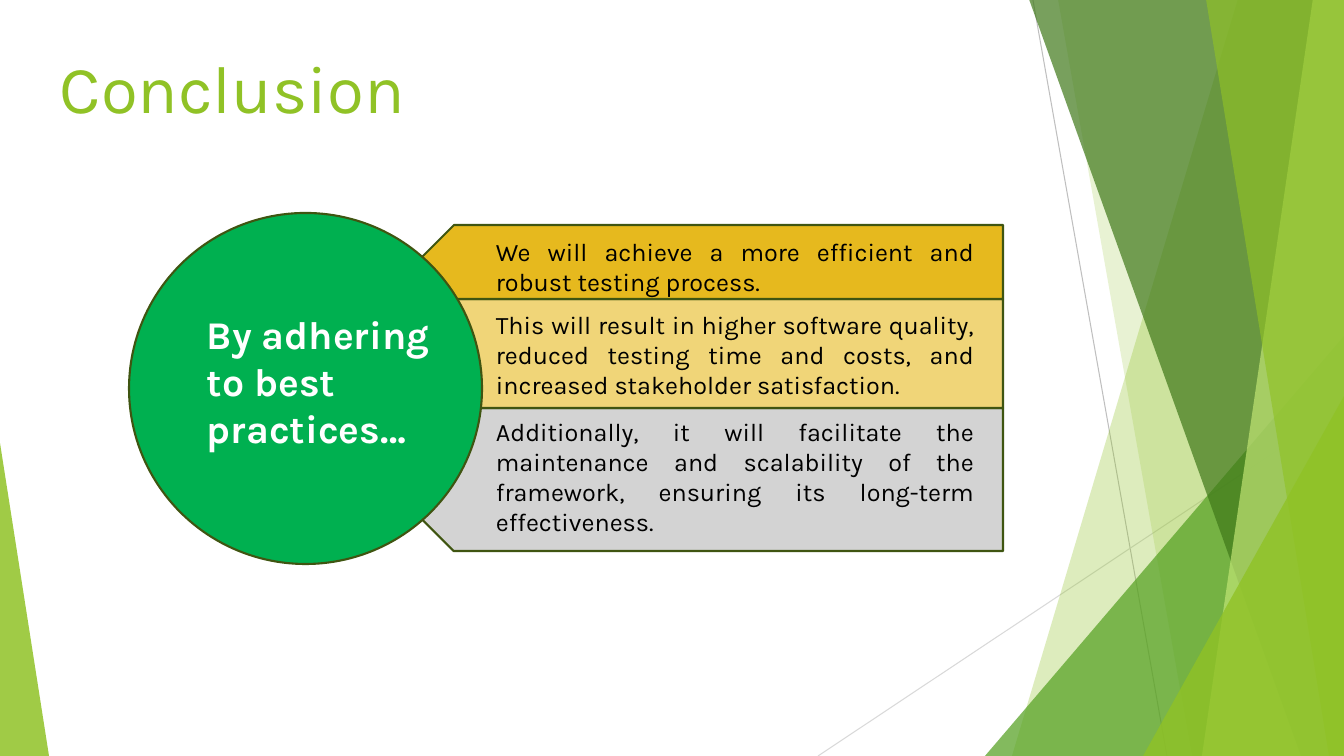
"""Build the conclusion slide: a circle, three outcome bands and a faceted backdrop."""
import pptx
import pptx.util
import pptx.dml.color
import pptx.enum.shapes
import pptx.enum.text
import pptx.oxml
import pptx.oxml.ns
from dataclasses import dataclass

SHAPE = pptx.enum.shapes.MSO_SHAPE
ALIGN = pptx.enum.text.PP_ALIGN
ANCHOR = pptx.enum.text.MSO_ANCHOR


@dataclass(frozen=True)
class Theme:
    """Colours, font and type sizes."""
    font: str = "Karla"
    lime: str = "90C226"
    pale_lime: str = "C0E474"
    leaf: str = "54A021"
    forest: str = "3F7819"
    emerald: str = "00B050"
    gold: str = "E6B91E"
    sand: str = "F0D578"
    silver: str = "D3D3D3"
    outline: str = "3F5511"
    black: str = "000000"
    white: str = "FFFFFF"
    ray_dark: str = "BFBFBF"
    ray_light: str = "D9D9D9"
    title_size: int = 48
    lead_size: int = 28
    body_size: int = 18
    outline_width: float = 1.5
    ray_width: float = 0.75


THEME = Theme()
SLIDE_W, SLIDE_H = 1344, 756
EMU_PER_PX = 12192000 / SLIDE_W

TITLE = ("Conclusion", (50, 38, 662, 97))
LEAD = ("By adhering to best practices…", (197, 305, 278, 152))
CIRCLE = (129, 213, 353, 351)
BAND_RIGHT, BAND_BOTTOM = 1003, 551
OUTCOME_LEFT, OUTCOME_WIDTH = 486, 498
OUTCOMES = [
    {"text": "We will achieve a more efficient and robust testing process.",
     "fill": THEME.gold, "left": 417, "top": 225, "text_top": 231},
    {"text": "This will result in higher software quality, reduced testing time and costs, "
             "and increased stakeholder satisfaction.",
     "fill": THEME.sand, "left": 403, "top": 299, "text_top": 304},
    {"text": "Additionally, it will facilitate the maintenance and scalability of the "
             "framework, ensuring its long-term effectiveness.",
     "fill": THEME.silver, "left": 382, "top": 408, "text_top": 411},
]
RAYS = [
    ((1033, 0), (1167, SLIDE_H), THEME.ray_dark),
    ((SLIDE_W, 406), (818, SLIDE_H), THEME.ray_light),
]
FACETS = [
    {"top_x": 1238, "bottom_x": 1012, "fill": THEME.lime, "alpha": 30},
    {"top_x": 1058, "bottom_x": 1192, "fill": THEME.lime, "alpha": 20},
    {"left": 985, "top": 336, "right": SLIDE_W, "peak": 1, "fill": THEME.leaf, "alpha": 72},
    {"top_x": 1029, "bottom_x": 1301, "fill": THEME.forest, "alpha": 70},
    {"top_x": 1313, "bottom_x": 1202, "fill": THEME.pale_lime, "alpha": 70},
    {"top_x": 1206, "bottom_x": 1329, "fill": THEME.lime, "alpha": 65},
    {"left": 1143, "top": 396, "right": SLIDE_W, "peak": 1, "fill": THEME.lime, "alpha": 80},
    {"left": 0, "top": 443, "right": 49, "peak": 0, "fill": THEME.lime, "alpha": 85},
]


def px(*lengths):
    return [pptx.util.Emu(round(length * EMU_PER_PX)) for length in lengths]


def rgb(colour):
    return pptx.dml.color.RGBColor.from_string(colour)


def paint(part, fill, outlined=False, alpha=100):
    part.shadow.inherit = False
    part.fill.solid()
    part.fill.fore_color.rgb = rgb(fill)
    if alpha < 100:
        tint = part.fill._xPr.find(".//" + pptx.oxml.ns.qn("a:srgbClr"))
        opacity = pptx.oxml.parse_xml(
            f'<a:alpha {pptx.oxml.ns.nsdecls("a")} val="{alpha * 1000}"/>')
        tint.append(opacity)
    if outlined:
        part.line.color.rgb = rgb(THEME.outline)
        part.line.width = pptx.util.Pt(THEME.outline_width)
    else:
        part.line.fill.background()


def draw_ray(shapes, start, end, colour):
    ray = shapes.add_connector(
        pptx.enum.shapes.MSO_CONNECTOR.STRAIGHT, *px(*start, *end))
    ray.line.color.rgb = rgb(colour)
    ray.line.width = pptx.util.Pt(THEME.ray_width)
    ray._element.spPr.append(
        pptx.oxml.parse_xml(f'<a:effectLst {pptx.oxml.ns.nsdecls("a")}/>'))


def draw_facet(shapes, facet):
    if "peak" in facet:
        left, top = facet["left"], facet["top"]
        pane = shapes.add_shape(SHAPE.ISOSCELES_TRIANGLE,
                                *px(left, top, facet["right"] - left, SLIDE_H - top))
        pane.adjustments[0] = facet["peak"]
    else:
        outline = shapes.build_freeform(facet["top_x"], -1, scale=EMU_PER_PX)
        outline.add_line_segments(
            [(SLIDE_W, -1), (SLIDE_W, SLIDE_H), (facet["bottom_x"], SLIDE_H)], close=True)
        pane = outline.convert_to_shape()
    paint(pane, facet["fill"], alpha=facet["alpha"])


def write(shapes, words, box, size, colour, bold=False, align=ALIGN.LEFT, anchor=ANCHOR.TOP):
    frame = shapes.add_textbox(*px(*box)).text_frame
    frame.word_wrap = True
    frame.vertical_anchor = anchor
    paragraph = frame.paragraphs[0]
    paragraph.alignment = align
    run = paragraph.add_run()
    run.text = words
    run.font.color.rgb = rgb(colour)
    letter_format = {"name": THEME.font, "size": pptx.util.Pt(size), "bold": bold}
    for attribute, value in letter_format.items():
        setattr(run.font, attribute, value)


def main():
    deck = pptx.Presentation()
    deck.slide_width, deck.slide_height = px(SLIDE_W, SLIDE_H)
    shapes = deck.slides.add_slide(deck.slide_layouts[6]).shapes

    for ray in RAYS:
        draw_ray(shapes, *ray)
    for facet in FACETS:
        draw_facet(shapes, facet)

    bottoms = [outcome["top"] for outcome in OUTCOMES[1:]] + [BAND_BOTTOM]
    for outcome, bottom in reversed(list(zip(OUTCOMES, bottoms))):
        left, top = outcome["left"], outcome["top"]
        band = shapes.add_shape(SHAPE.PENTAGON, *px(left, top, BAND_RIGHT - left, bottom - top))
        band.rotation = 180
        paint(band, outcome["fill"], outlined=True)
    paint(shapes.add_shape(SHAPE.OVAL, *px(*CIRCLE)), THEME.emerald, outlined=True)

    write(shapes, *TITLE, THEME.title_size, THEME.lime, anchor=ANCHOR.MIDDLE)
    write(shapes, *LEAD, THEME.lead_size, THEME.white, bold=True)
    for outcome, bottom in zip(OUTCOMES, bottoms):
        top = outcome["text_top"]
        write(shapes, outcome["text"], (OUTCOME_LEFT, top, OUTCOME_WIDTH, bottom - top),
              THEME.body_size, THEME.black, align=ALIGN.JUSTIFY)

    deck.save("out.pptx")


if __name__ == "__main__":
    main()
